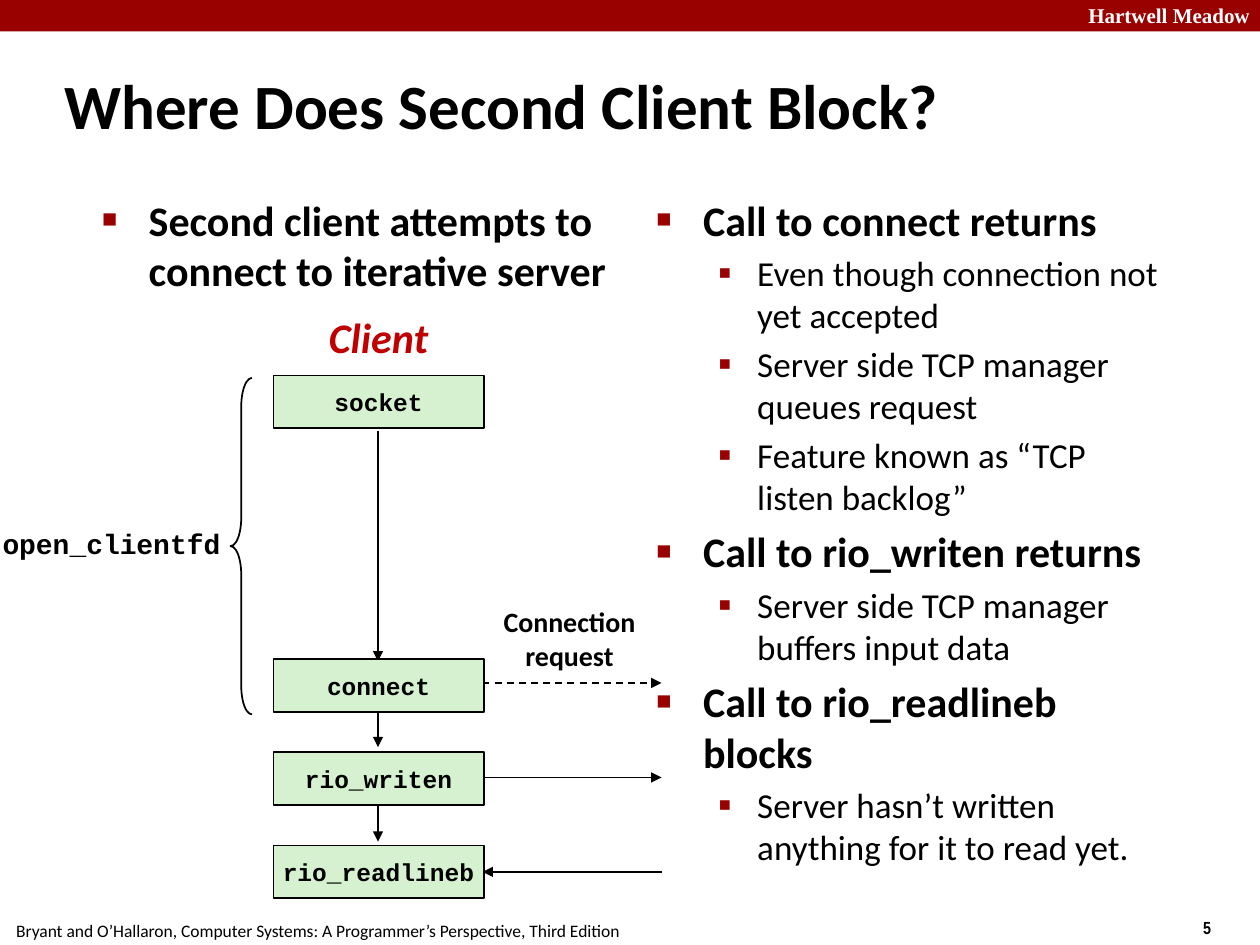
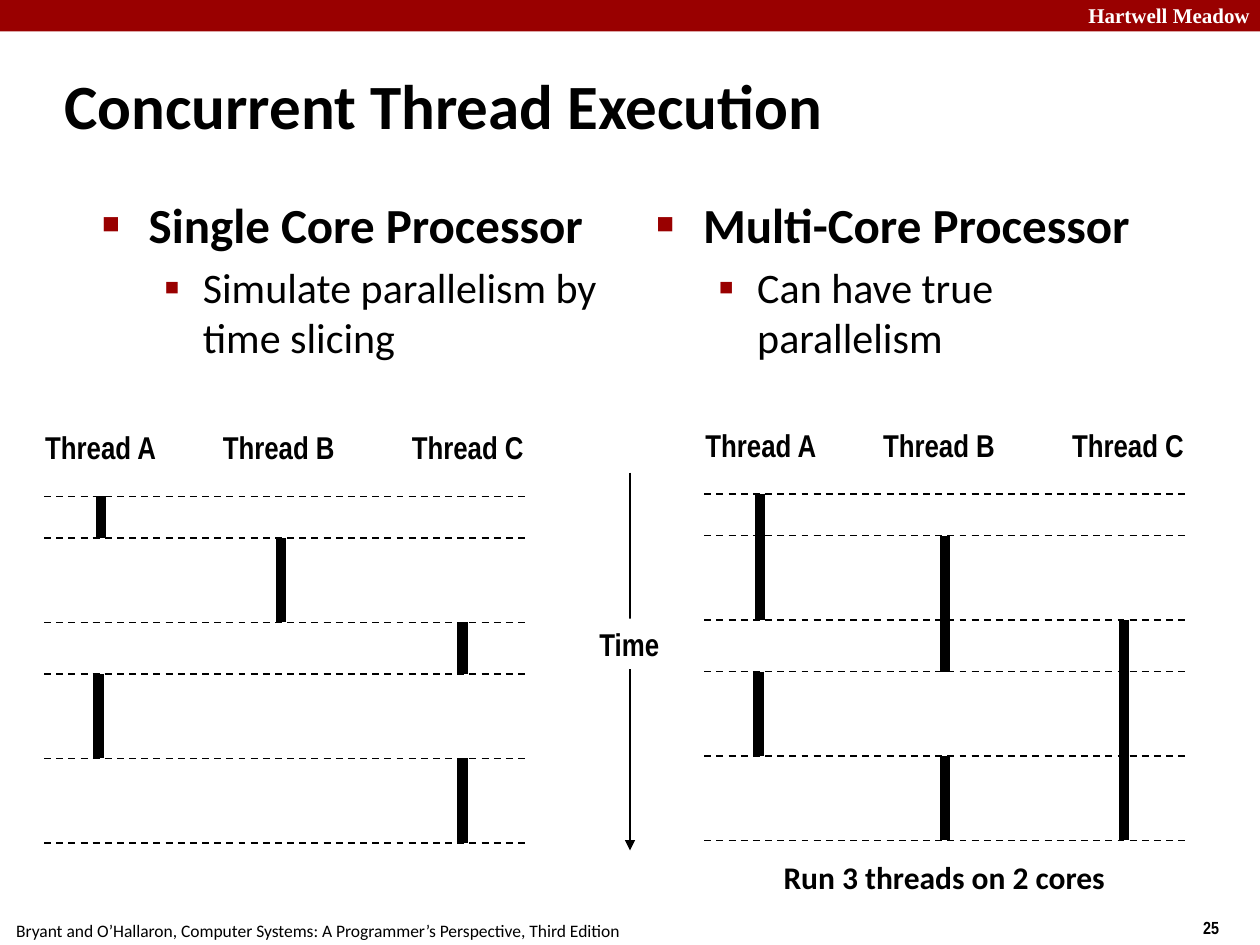
import pptx
import pptx.util
import pptx.dml.color
import pptx.enum.dml
import pptx.enum.shapes
import pptx.enum.text
import pptx.oxml
import pptx.oxml.ns
import lxml.etree

RGB = pptx.dml.color.RGBColor
RED = RGB(0x99, 0x00, 0x00)
ROSE = RGB(0xC0, 0x00, 0x00)
GREEN = RGB(0xD5, 0xF1, 0xCF)
BLACK = RGB(0x00, 0x00, 0x00)
WHITE = RGB(0xFF, 0xFF, 0xFF)

SANS = "Calibri"
CODE = "Courier New"
SLIM = "Arial Narrow"
SERIF = "Times New Roman"

KIND = pptx.enum.shapes.MSO_SHAPE
ALIGN = pptx.enum.text.PP_ALIGN
MIDDLE = pptx.enum.text.MSO_ANCHOR.MIDDLE
TOP = pptx.enum.text.MSO_ANCHOR.TOP
DASH = pptx.enum.dml.MSO_LINE.DASH

SCALE = 9144
MARKS = (("■", 60, 38, -37), ("▪", 110, 81, -31))
ROWS = (0, 33, 100, 141, 208, 275)
CREDIT = ("Bryant and O’Hallaron, Computer Systems: "
          "A Programmer’s Perspective, Third Edition")


def px(*marks):
    """Turn whole px, 100 to the inch, into EMU."""
    return [pptx.util.Emu(mark * SCALE) for mark in marks]


def add_run(para, text, size, font=SANS, color=BLACK, bold=True, slant=False):
    """Add one styled run to a paragraph."""
    run = para.add_run()
    run.text = text
    run.font.size = pptx.util.Pt(size)
    run.font.name = font
    run.font.bold = bold
    run.font.italic = slant
    run.font.color.rgb = color


def write(shape, text, size, align=ALIGN.LEFT, **style):
    """Write the lines of text into a shape, with room to stay unbroken."""
    frame = shape.text_frame
    frame.word_wrap = True
    frame.vertical_anchor = MIDDLE
    frame.margin_left, frame.margin_right = px(
        10 if align == ALIGN.LEFT else 0, 0)
    for i, line in enumerate(text.split("\n")):
        para = frame.add_paragraph() if i else frame.paragraphs[0]
        para.alignment = align
        add_run(para, line, size, **style)


def add_label(slide, box, text, size, **style):
    """Add a text box."""
    shape = slide.shapes.add_textbox(*px(*box))
    write(shape, text, size, **style)


def add_block(slide, box, fill, edge=False):
    """Add a flat rectangle, outlined if asked."""
    shape = slide.shapes.add_shape(KIND.RECTANGLE, *px(*box))
    shape.shadow.inherit = False
    shape.fill.solid()
    shape.fill.fore_color.rgb = fill
    if edge:
        shape.line.color.rgb = BLACK
        shape.line.width = pptx.util.Pt(1)
    else:
        shape.line.fill.background()
    return shape


def add_line(slide, ends, width=1, dash=False, arrow=False):
    """Add a straight black line from one point to another."""
    kind = pptx.enum.shapes.MSO_CONNECTOR.STRAIGHT
    line = slide.shapes.add_connector(kind, *px(*ends))
    line.line.color.rgb = BLACK
    line.line.width = pptx.util.Pt(width)
    if dash:
        line.line.dash_style = DASH
    qn = pptx.oxml.ns.qn
    props = line._element.spPr
    if arrow:
        edge = props.find(qn("a:ln"))
        lxml.etree.SubElement(edge, qn("a:tailEnd"), type="triangle")
    lxml.etree.SubElement(props, qn("a:effectLst"))


def place(holder, box, anchor):
    """Move a placeholder and fix the fit of its text."""
    holder.left, holder.top, holder.width, holder.height = px(*box)
    frame = holder.text_frame
    frame.word_wrap = True
    frame.auto_size = pptx.enum.text.MSO_AUTO_SIZE.NONE
    frame.vertical_anchor = anchor
    return frame


def add_mark(para, level):
    """Give a paragraph the indent and red bullet of its level."""
    char, size, left, hang = MARKS[level]
    props = para._p.get_or_add_pPr()
    props.set("marL", str(left * SCALE))
    props.set("indent", str(hang * SCALE))
    qn = pptx.oxml.ns.qn
    color = lxml.etree.SubElement(props, qn("a:buClr"))
    lxml.etree.SubElement(color, qn("a:srgbClr"), val=str(RED))
    lxml.etree.SubElement(props, qn("a:buSzPct"), val=str(size * 1000))
    lxml.etree.SubElement(props, qn("a:buChar"), char=char)


def fill_list(holder, box, items, sizes):
    """Fill a body placeholder with (level, text) items."""
    frame = place(holder, box, TOP)
    for i, (level, text) in enumerate(items):
        para = frame.add_paragraph() if i else frame.paragraphs[0]
        para.level = level
        para.space_before = pptx.util.Pt(sizes[level] / 5)
        add_mark(para, level)
        add_run(para, text, sizes[level], bold=level == 0)


def add_slide(deck, title, number):
    """Start a slide with its band, footers and title."""
    slide = deck.slides.add_slide(deck.slide_layouts[3])
    add_block(slide, (0, 0, 1000, 25), RED)
    add_label(slide, (842, -3, 150, 30), "Hartwell Meadow", 12,
              align=ALIGN.RIGHT, font=SERIF, color=WHITE)
    add_label(slide, (945, 723, 75, 27), number, 10, font=SLIM)
    add_label(slide, (3, 725, 499, 27), CREDIT, 10, bold=False)
    frame = place(slide.shapes.title, (41, 41, 830, 83), MIDDLE)
    para = frame.paragraphs[0]
    para.alignment = ALIGN.LEFT
    add_run(para, title, 36)
    return slide


def add_call(slide, top, name):
    """Add the green box of one client call."""
    box = add_block(slide, (217, top, 167, 42), GREEN, edge=True)
    write(box, name, 14, align=ALIGN.CENTER, font=CODE)


def add_brace(slide, box):
    """Add a left brace that spans several calls."""
    brace = slide.shapes.add_shape(KIND.LEFT_BRACE, *px(*box))
    brace.shadow.inherit = False
    brace.adjustments[0] = 1.33
    brace.fill.background()
    brace.line.color.rgb = BLACK
    brace.line.width = pptx.util.Pt(1)


def add_threads(slide, left, top, bars):
    """Draw three threads; a bar is (offset, first row, last row)."""
    for name, shift in zip("ABC", (-9, 132, 282)):
        add_label(slide, (left + shift, top - 59, 108, 40),
                  f"Thread {name}", 18, font=SLIM)
    for shift, first, last in bars:
        x = left + shift
        add_line(slide, (x, top + ROWS[first], x, top + ROWS[last]), width=6)
    for row in ROWS:
        add_line(slide, (left, top + row, left + 382, top + row), dash=True)


def build_client(deck):
    """Build the slide on the blocked client."""
    slide = add_slide(deck, "Where Does Second Client Block?", "5")
    sizes = (24, 20)
    fill_list(slide.placeholders[1], (70, 149, 423, 118), [
        (0, "Second client attempts to connect to iterative server"),
    ], sizes)
    fill_list(slide.placeholders[2], (510, 149, 423, 544), [
        (0, "Call to connect returns"),
        (1, "Even though connection not yet accepted"),
        (1, "Server side TCP manager queues request"),
        (1, "Feature known as “TCP listen backlog”"),
        (0, "Call to rio_writen returns"),
        (1, "Server side TCP manager buffers input data"),
        (0, "Call to rio_readlineb blocks"),
        (1, "Server hasn’t written anything for it to read yet."),
    ], sizes)
    add_label(slide, (251, 242, 99, 50), "Client", 24,
              align=ALIGN.CENTER, color=ROSE, slant=True)
    for start, end in ((342, 525), (560, 593), (635, 668)):
        add_line(slide, (300, start, 300, end), arrow=True)
    add_line(slide, (325, 542, 525, 542), dash=True, arrow=True)
    add_line(slide, (383, 617, 525, 617), arrow=True)
    add_line(slide, (525, 692, 383, 692), arrow=True)
    for top, name in ((298, "socket"), (523, "connect"),
                      (597, "rio_writen"), (671, "rio_readlineb")):
        add_call(slide, top, name)
    add_label(slide, (390, 475, 124, 63), "Connection\nrequest", 16,
              align=ALIGN.CENTER)
    add_brace(slide, (183, 300, 17, 267))
    add_label(slide, (-8, 413, 193, 37), "open_clientfd", 16,
              align=ALIGN.CENTER, font=CODE)


def build_threads(deck):
    """Build the slide on one core and many cores."""
    slide = add_slide(deck, "Concurrent Thread Execution", "25")
    sizes = (28, 24)
    fill_list(slide.placeholders[1], (70, 149, 423, 544), [
        (0, "Single Core Processor"),
        (1, "Simulate parallelism by time slicing"),
    ], sizes)
    fill_list(slide.placeholders[2], (510, 149, 423, 544), [
        (0, "Multi-Core Processor"),
        (1, "Can have true parallelism"),
    ], sizes)
    add_line(slide, (500, 375, 500, 675), arrow=True)
    time = add_block(slide, (466, 491, 67, 40), WHITE)
    write(time, "Time", 18, align=ALIGN.CENTER, font=SLIM)
    add_threads(slide, 35, 394, (
        (45, 0, 1), (188, 1, 2), (332, 2, 3), (43, 3, 4), (332, 4, 5)))
    add_threads(slide, 559, 392, (
        (44, 0, 2), (191, 1, 3), (333, 2, 5), (43, 3, 4), (191, 4, 5)))
    add_label(slide, (612, 676, 275, 40), "Run 3 threads on 2 cores", 18)


def main():
    """Build and save the deck."""
    deck = pptx.Presentation()
    deck.slide_width, deck.slide_height = px(1000, 750)
    build_client(deck)
    build_threads(deck)
    deck.save("out.pptx")


if __name__ == "__main__":
    main()
